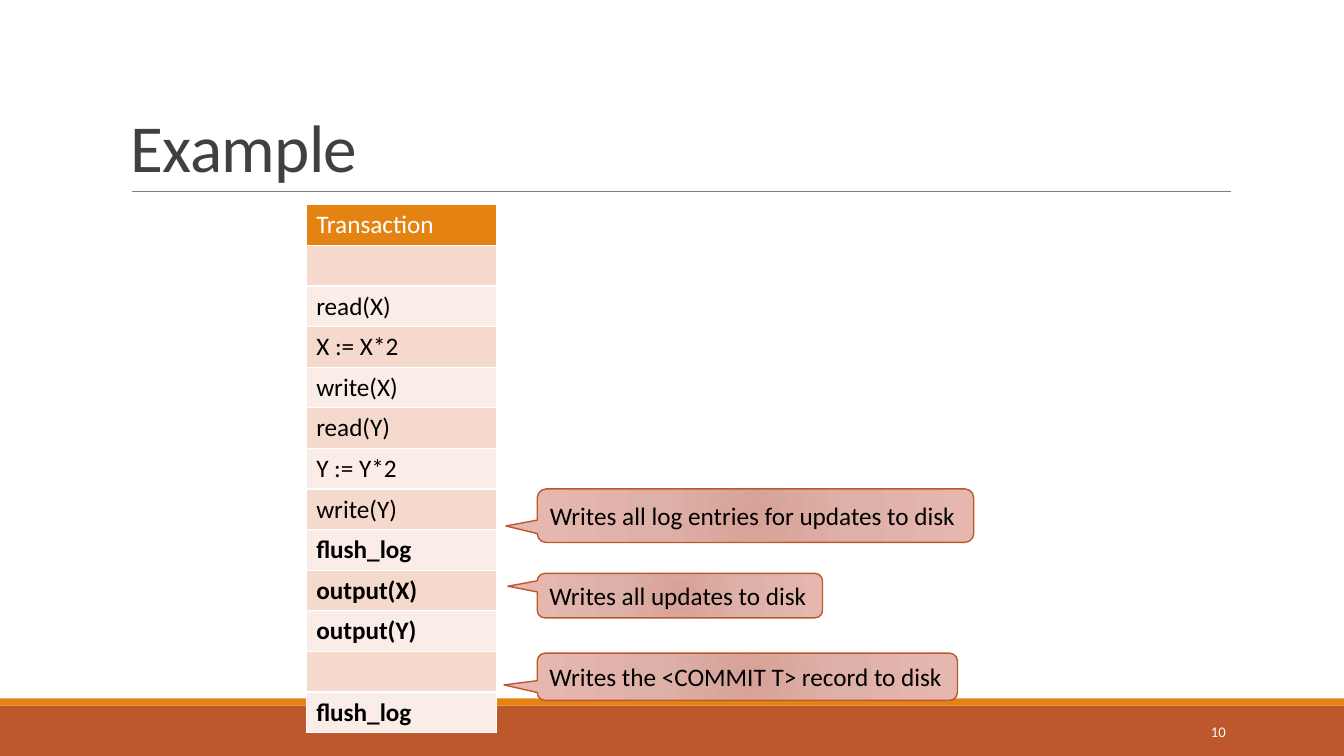
from lxml import etree
from pptx import Presentation
from pptx.dml.color import RGBColor
from pptx.enum.shapes import MSO_CONNECTOR, MSO_SHAPE
from pptx.enum.text import MSO_ANCHOR, PP_ALIGN
from pptx.oxml import parse_xml
from pptx.oxml.ns import nsdecls, qn
from pptx.util import Cm, Pt

RECTANGLE = MSO_SHAPE.RECTANGLE
CALLOUT = MSO_SHAPE.ROUNDED_RECTANGULAR_CALLOUT
STRAIGHT = MSO_CONNECTOR.STRAIGHT
MIDDLE, BOTTOM = MSO_ANCHOR.MIDDLE, MSO_ANCHOR.BOTTOM
LEFT, RIGHT = PP_ALIGN.LEFT, PP_ALIGN.RIGHT

ORANGE, RUST, WHITE, BLACK = "E48312", "BD582C", "FFFFFF", "000000"
CALLOUT_STOPS = ((0, "D7A197"), (45, "DEB1A8"), (100, "E6B7AE"))
ROW_BANDS = ("F5D9CC", "FAEDE7")


def color(value):
    return RGBColor.from_string(value)


def apply(target, values):
    for name, value in values.items():
        setattr(target, name, value)


class ExampleSlide:
    font_name = "Calibri"
    body_size = 18

    def __init__(self, slide):
        self.slide = slide
        self.shapes = slide.shapes

    def add_run(self, paragraph, text, size=body_size, ink=BLACK, bold=False):
        run = paragraph.add_run()
        run.text = text
        apply(run.font, {"name": self.font_name, "size": Pt(size), "bold": bold})
        run.font.color.rgb = color(ink)
        return run

    def fill_frame(self, frame, text, align=LEFT, anchor=MIDDLE,
                   line_spacing=1.0, **style):
        apply(frame, {"word_wrap": True, "vertical_anchor": anchor})
        paragraph = frame.paragraphs[0]
        apply(paragraph, {"alignment": align, "line_spacing": line_spacing})
        return self.add_run(paragraph, text, **style)

    def bar(self, top, height, fill):
        band = self.shapes.add_shape(RECTANGLE, 0, Cm(top), Cm(33.87), Cm(height))
        band.shadow.inherit = False
        band.fill.solid()
        band.fill.fore_color.rgb = color(fill)
        band.line.fill.background()

    def rule(self, left, right, top, ink, width):
        line = self.shapes.add_connector(STRAIGHT, Cm(left), Cm(top), Cm(right), Cm(top))
        line.line.color.rgb = color(ink)
        line.line.width = Pt(width)
        etree.SubElement(line._element.spPr, qn("a:effectLst"))

    def text(self, box, text, spacing=0, **style):
        frame = self.shapes.add_textbox(*map(Cm, box)).text_frame
        run = self.fill_frame(frame, text, **style)
        if spacing:
            run.font._element.set("spc", str(spacing))

    def callout(self, top, width, height, pointer, text):
        bubble = self.shapes.add_shape(CALLOUT, Cm(13.54), Cm(top), Cm(width), Cm(height))
        bubble.shadow.inherit = False
        for index, value in enumerate((*pointer, 0.167)):
            bubble.adjustments[index] = value
        stops = "".join(
            f'<a:gs pos="{position * 1000}"><a:srgbClr val="{tint}"/></a:gs>'
            for position, tint in CALLOUT_STOPS)
        gradient = parse_xml(
            f'<a:gradFill {nsdecls("a")} rotWithShape="1"><a:gsLst>{stops}</a:gsLst>'
            '<a:path path="circle"><a:fillToRect l="100000" t="100000" '
            'r="100000" b="100000"/></a:path></a:gradFill>')
        bubble._element.spPr.find(qn("a:prstGeom")).addnext(gradient)
        bubble.line.color.rgb = color(RUST)
        bubble.line.width = Pt(1)
        self.fill_frame(bubble.text_frame, text)

    def cell(self, cell, text, fill, ink, bold):
        apply(cell, {"margin_left": Cm(0.25), "margin_right": Cm(0.25),
                     "margin_top": Cm(0.13), "margin_bottom": Cm(0.13)})
        properties = cell._tc.get_or_add_tcPr()
        for side in ("lnL", "lnR", "lnT", "lnB"):
            properties.append(parse_xml(
                f'<a:{side} {nsdecls("a")} w="12700"><a:solidFill>'
                f'<a:srgbClr val="{WHITE}"/></a:solidFill></a:{side}>'))
        cell.fill.solid()
        cell.fill.fore_color.rgb = color(fill)
        if text:
            self.add_run(cell.text_frame.paragraphs[0], text, ink=ink, bold=bold)

    def transaction_table(self, header, steps, bold_from):
        row_height = Cm(0.97)
        count = len(steps) + 1
        table = self.shapes.add_table(
            count, 1, Cm(7.72), Cm(5.16), Cm(4.8), row_height * count).table
        self.cell(table.cell(0, 0), header, ORANGE, WHITE, False)
        for index, step in enumerate(steps):
            self.cell(table.cell(index + 1, 0), step, ROW_BANDS[index % 2],
                      BLACK, index >= bold_from)


def main():
    deck = Presentation()
    apply(deck, {"slide_width": Cm(33.87), "slide_height": Cm(19.05)})
    example = ExampleSlide(deck.slides.add_slide(deck.slide_layouts[6]))

    example.bar(17.78, 1.27, RUST)
    example.bar(17.6, 0.18, ORANGE)
    example.rule(3.33, 31.01, 4.83, "808080", 0.5)
    example.text((3.05, 0.79, 27.94, 4.04), "Example", spacing=-50, size=48,
                 ink="404040", anchor=BOTTOM, line_spacing=0.85)
    example.text((27.51, 17.93, 3.63, 1.02), "10", size=10.5, ink=WHITE, align=RIGHT)

    for callout in (
        (12.32, 11, 1.35, (-0.572, 0.193), "Writes all log entries for updates to disk"),
        (14.45, 7.19, 1.12, (-0.603, -0.211), "Writes all updates to disk"),
        (16.46, 10.59, 1.19, (-0.579, 0.172), "Writes the <COMMIT T> record to disk"),
    ):
        example.callout(*callout)

    steps = ("", "read(X)", "X := X*2", "write(X)", "read(Y)", "Y := Y*2", "write(Y)",
             "flush_log", "output(X)", "output(Y)", "", "flush_log")
    example.transaction_table("Transaction", steps, steps.index("flush_log"))

    deck.save("out.pptx")


if __name__ == "__main__":
    main()
